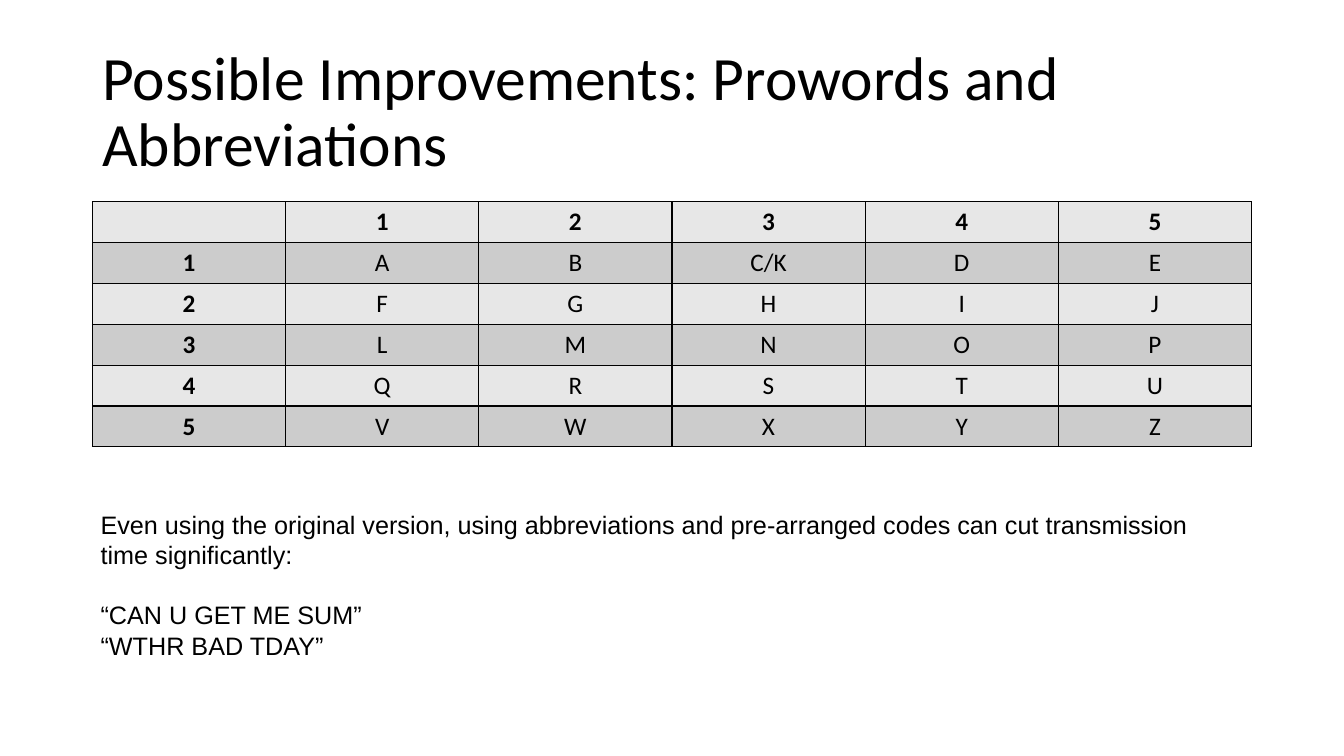
from lxml import etree
from pptx import Presentation
from pptx.dml.color import RGBColor
from pptx.enum.text import MSO_ANCHOR, PP_ALIGN
from pptx.oxml.ns import qn
from pptx.util import Pt

MIDDLE = MSO_ANCHOR.MIDDLE
TOP = MSO_ANCHOR.TOP
CENTER = PP_ALIGN.CENTER
BLACK = RGBColor(0x00, 0x00, 0x00)
LIGHT_GREY = RGBColor(0xE7, 0xE7, 0xE7)
MID_GREY = RGBColor(0xCC, 0xCC, 0xCC)
BORDER_WIDTH = Pt(0.96)

# Left, top, width, height in points
TITLE_BOX = (66, 28.8, 828, 104.4)
TABLE_BOX = (66, 144, 828, 175.2)
NOTE_BOX = (64.8, 360, 828, 136.8)

TITLE = "Possible Improvements: Prowords and Abbreviations"
LETTER_ROWS = [
    ["A", "B", "C/K", "D", "E"],
    ["F", "G", "H", "I", "J"],
    ["L", "M", "N", "O", "P"],
    ["Q", "R", "S", "T", "U"],
    ["V", "W", "X", "Y", "Z"],
]
NOTE = (
    "Even using the original version, using abbreviations and pre-arranged "
    "codes can cut transmission time significantly:"
)
EXAMPLES = ["“CAN U GET ME SUM”", "“WTHR BAD TDAY”"]


def format_runs(para, font_name, size, bold=False):
    for span in para.runs:
        span.font.name = font_name
        span.font.size = Pt(size)
        span.font.bold = bold
        span.font.color.rgb = BLACK


def add_text(page, box, lines, font_name, size, anchor):
    """Add a wrapped text box with one paragraph per line; return its paragraphs."""
    frame = page.shapes.add_textbox(*map(Pt, box)).text_frame
    frame.word_wrap = True
    frame.vertical_anchor = anchor
    frame.text = "\n".join(lines)
    for para in frame.paragraphs:
        format_runs(para, font_name, size)
    return frame.paragraphs


def add_borders(cell):
    properties = cell._tc.get_or_add_tcPr()
    for position, side in enumerate(("a:lnL", "a:lnR", "a:lnT", "a:lnB")):
        line = etree.Element(qn(side), w=str(BORDER_WIDTH))
        fill = etree.SubElement(line, qn("a:solidFill"))
        etree.SubElement(fill, qn("a:srgbClr"), val=str(BLACK))
        properties.insert(position, line)


def add_title(page, box):
    para = add_text(page, box, [TITLE], "Calibri", 44, MIDDLE)[0]
    para.line_spacing = 0.9


def add_letter_square(page, box):
    """Add the letter table, numbered along its top and left edges."""
    numbers = [str(n) for n in range(1, 6)]
    rows = [[""] + numbers]
    rows += [[number] + letters for number, letters in zip(numbers, LETTER_ROWS)]
    table = page.shapes.add_table(len(rows), len(rows[0]), *map(Pt, box)).table
    for row_index, values in enumerate(rows):
        table.rows[row_index].height = Pt(box[3] / len(rows))
        for column_index, value in enumerate(values):
            cell = table.cell(row_index, column_index)
            cell.fill.solid()
            cell.fill.fore_color.rgb = MID_GREY if row_index % 2 else LIGHT_GREY
            add_borders(cell)
            para = cell.text_frame.paragraphs[0]
            para.text = value
            para.alignment = CENTER
            is_heading = row_index == 0 or column_index == 0
            format_runs(para, "Calibri", 18, is_heading)


def add_note(page, box):
    paras = add_text(page, box, [NOTE] + EXAMPLES, "Arial", 18, TOP)
    paras[1].space_before = Pt(21.6)


def main():
    deck = Presentation()
    deck.slide_width = Pt(960)
    deck.slide_height = Pt(540)
    page = deck.slides.add_slide(deck.slide_layouts[6])
    add_letter_square(page, TABLE_BOX)
    add_title(page, TITLE_BOX)
    add_note(page, NOTE_BOX)
    deck.save("out.pptx")


if __name__ == "__main__":
    main()
